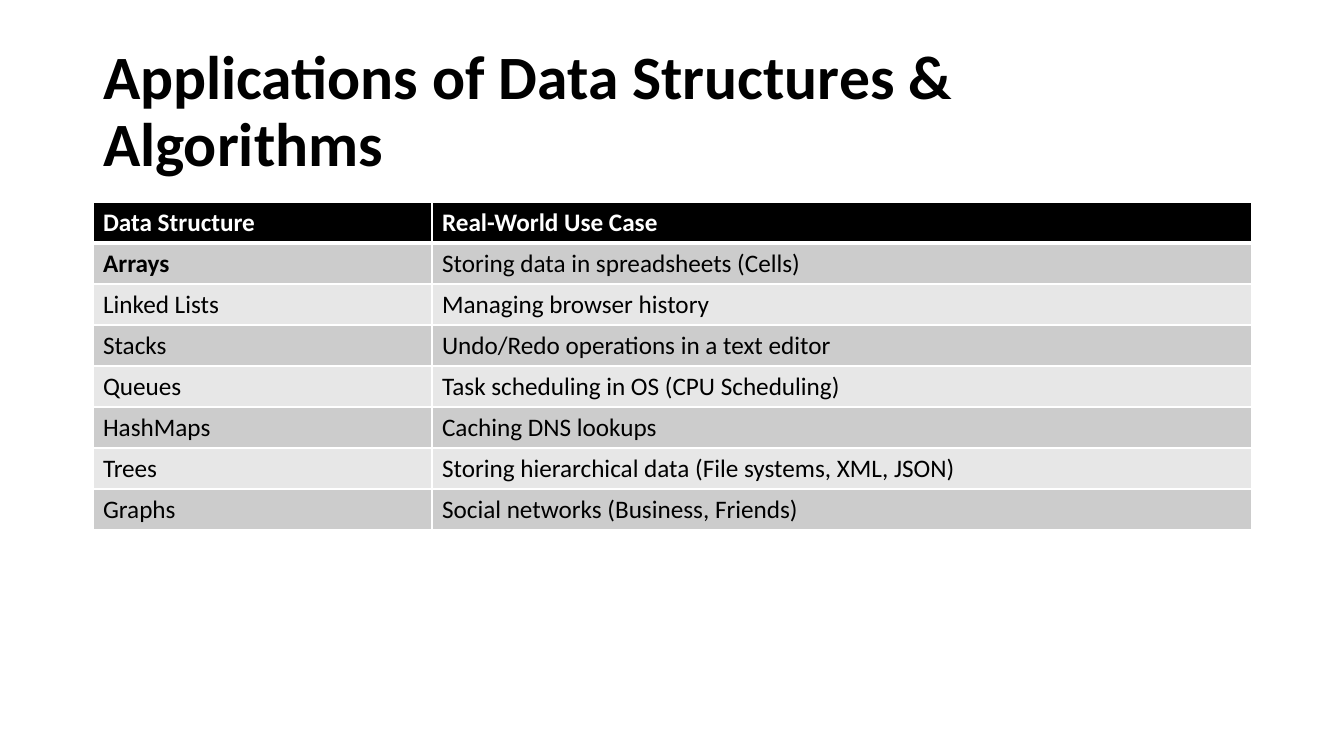
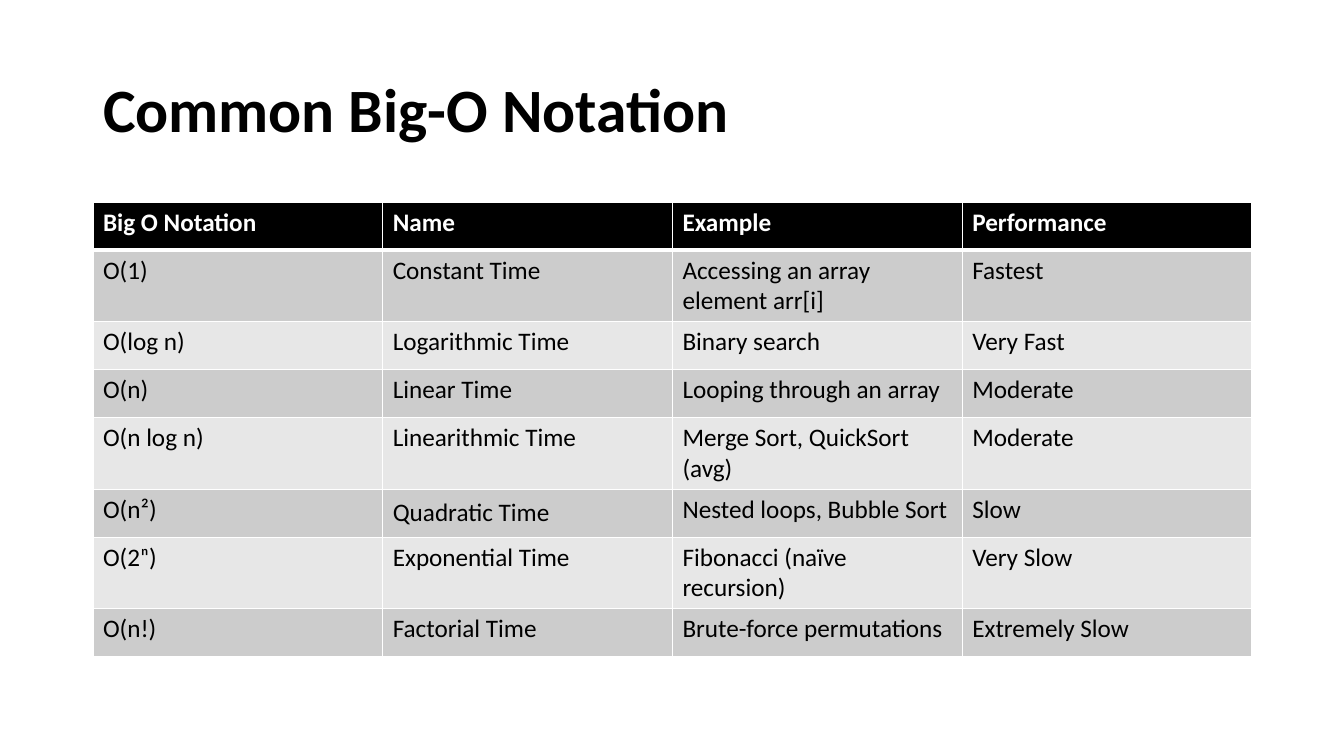
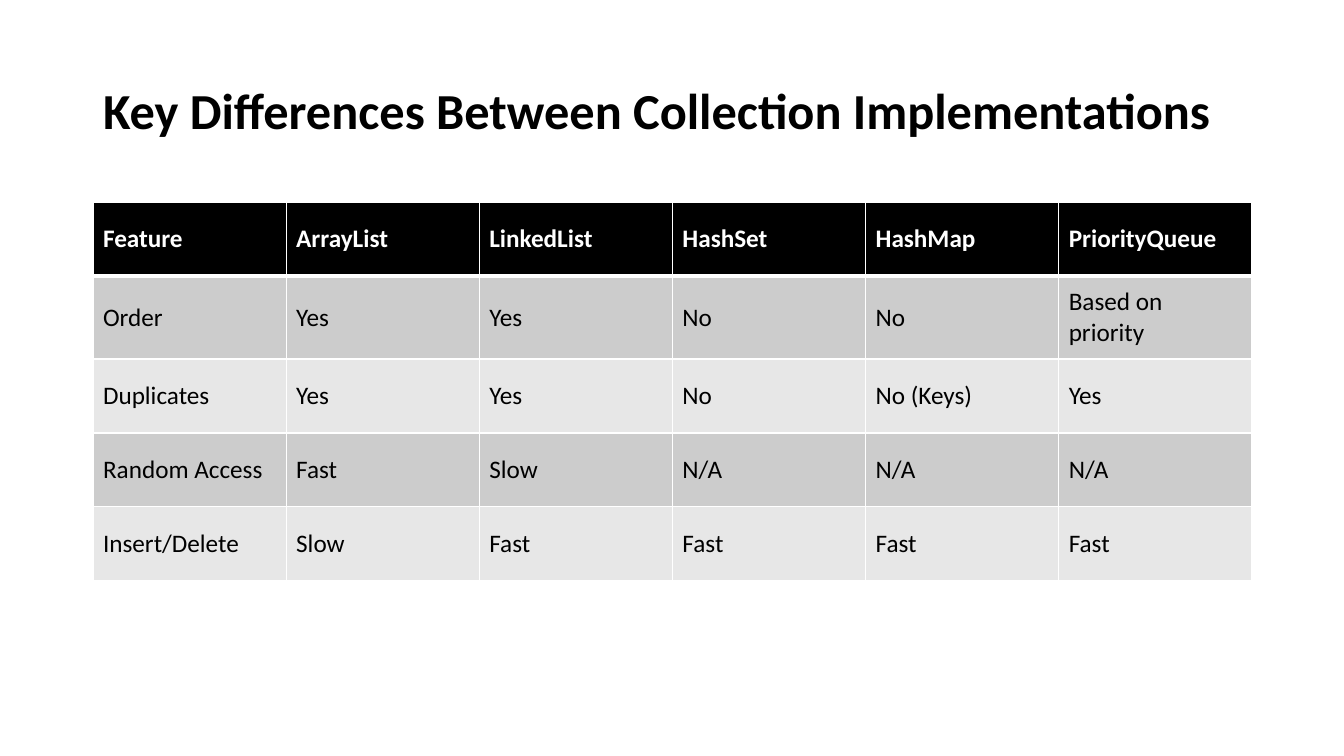
from lxml import etree
from pptx import Presentation
from pptx import util as u
from pptx.dml.color import RGBColor
from pptx.enum import text
from pptx.oxml.ns import qn

PX = u.Inches(1) / 100.8
FONT = "Calibri"
COLORS = {"text": "000000", "header": "000000", "header_text": "FFFFFF",
          "border": "FFFFFF", "band_dark": "CCCCCC", "band_light": "E7E7E7"}
LEFT, WIDTH = 93, 1159
TITLE_TOP, TITLE_HEIGHT, TABLE_TOP = 40, 146, 202
TOP, MIDDLE = text.MSO_ANCHOR.TOP, text.MSO_ANCHOR.MIDDLE


def set_font(paragraph, size, color, bold):
    paragraph.font.name = FONT
    paragraph.font.size = u.Pt(size)
    paragraph.font.bold = bold
    paragraph.font.color.rgb = RGBColor.from_string(COLORS[color])


def set_border(cell, side, points):
    properties = cell._tc.get_or_add_tcPr()
    line = etree.SubElement(properties, qn("a:ln" + side), w=str(u.Pt(points)))
    fill = etree.SubElement(line, qn("a:solidFill"))
    etree.SubElement(fill, qn("a:srgbClr"), val=COLORS["border"])


# Slide contents; columns are relative widths, rows are heights in px
SLIDES = [
    {
        "title": "Applications of Data Structures & Algorithms", "size": 44,
        "columns": [339, 820], "rows": [41] * 8, "anchor": MIDDLE,
        "cells": [
            ["Data Structure", "Real-World Use Case"],
            ["Arrays", "Storing data in spreadsheets (Cells)"],
            ["Linked Lists", "Managing browser history"],
            ["Stacks", "Undo/Redo operations in a text editor"],
            ["Queues", "Task scheduling in OS (CPU Scheduling)"],
            ["HashMaps", "Caching DNS lookups"],
            ["Trees", "Storing hierarchical data (File systems, XML, JSON)"],
            ["Graphs", "Social networks (Business, Friends)"],
        ],
    },
    {
        "title": "Common Big-O Notation", "size": 44,
        "columns": [1] * 4, "rows": [48, 71, 48, 48, 71, 48, 71, 48], "anchor": TOP,
        "cells": [
            ["Big O Notation", "Name", "Example", "Performance"],
            ["O(1)", "Constant Time", "Accessing an array element arr[i]", "Fastest"],
            ["O(log n)", "Logarithmic Time", "Binary search", "Very Fast"],
            ["O(n)", "Linear Time", "Looping through an array", "Moderate"],
            ["O(n log n)", "Linearithmic Time", "Merge Sort, QuickSort (avg)", "Moderate"],
            ["O(n²)", "Quadratic Time", "Nested loops, Bubble Sort", "Slow"],
            ["O(2ⁿ)", "Exponential Time", "Fibonacci (naïve recursion)", "Very Slow"],
            ["O(n!)", "Factorial Time", "Brute-force permutations", "Extremely Slow"],
        ],
    },
    {
        "title": "Key Differences Between Collection Implementations", "size": 36,
        "columns": [1] * 6, "rows": [74, 83, 74, 74, 74], "anchor": MIDDLE,
        "cells": [
            ["Feature", "ArrayList", "LinkedList", "HashSet", "HashMap", "PriorityQueue"],
            ["Order", "Yes", "Yes", "No", "No", "Based on priority"],
            ["Duplicates", "Yes", "Yes", "No", "No (Keys)", "Yes"],
            ["Random Access", "Fast", "Slow", "N/A", "N/A", "N/A"],
            ["Insert/Delete", "Slow", "Fast", "Fast", "Fast", "Fast"],
        ],
    },
]
BOLD_CELLS = {"Arrays"}
MIDDLE_CELLS = {"Quadratic Time"}

presentation = Presentation()
presentation.slide_width = round(1344 * PX)
presentation.slide_height = round(756 * PX)

for content in SLIDES:
    slide = presentation.slides.add_slide(presentation.slide_layouts[5])

    # Title
    title = slide.shapes.title
    title.left, title.top = round(LEFT * PX), round(TITLE_TOP * PX)
    title.width, title.height = round(WIDTH * PX), round(TITLE_HEIGHT * PX)
    frame = title.text_frame
    frame.text = content["title"]
    frame.word_wrap = True
    frame.auto_size = text.MSO_AUTO_SIZE.NONE
    frame.vertical_anchor = MIDDLE
    paragraph = frame.paragraphs[0]
    paragraph.alignment = text.PP_ALIGN.LEFT
    paragraph.line_spacing = 0.9
    set_font(paragraph, content["size"], "text", True)

    # Table grid
    columns, rows = content["columns"], content["rows"]
    table = slide.shapes.add_table(
        len(rows), len(columns), round(LEFT * PX), round(TABLE_TOP * PX),
        round(WIDTH * PX), round(sum(rows) * PX)).table
    for column, share in zip(table.columns, columns):
        column.width = round(WIDTH * PX * share / sum(columns))
    for row, height in zip(table.rows, rows):
        row.height = round(height * PX)

    # Cells: black header, then alternating grey bands
    for row_index, values in enumerate(content["cells"]):
        header = row_index == 0
        band = "header" if header else "band_dark" if row_index % 2 else "band_light"
        for column_index, value in enumerate(values):
            cell = table.cell(row_index, column_index)
            cell.text = value
            cell.vertical_anchor = MIDDLE if value in MIDDLE_CELLS else content["anchor"]
            set_font(cell.text_frame.paragraphs[0], 18,
                     "header_text" if header else "text",
                     header or value in BOLD_CELLS)
            set_border(cell, "L", 1)
            set_border(cell, "R", 1)
            set_border(cell, "T", 3 if row_index == 1 else 1)
            set_border(cell, "B", 3 if header else 1)
            cell.fill.solid()
            cell.fill.fore_color.rgb = RGBColor.from_string(COLORS[band])

presentation.save("out.pptx")
